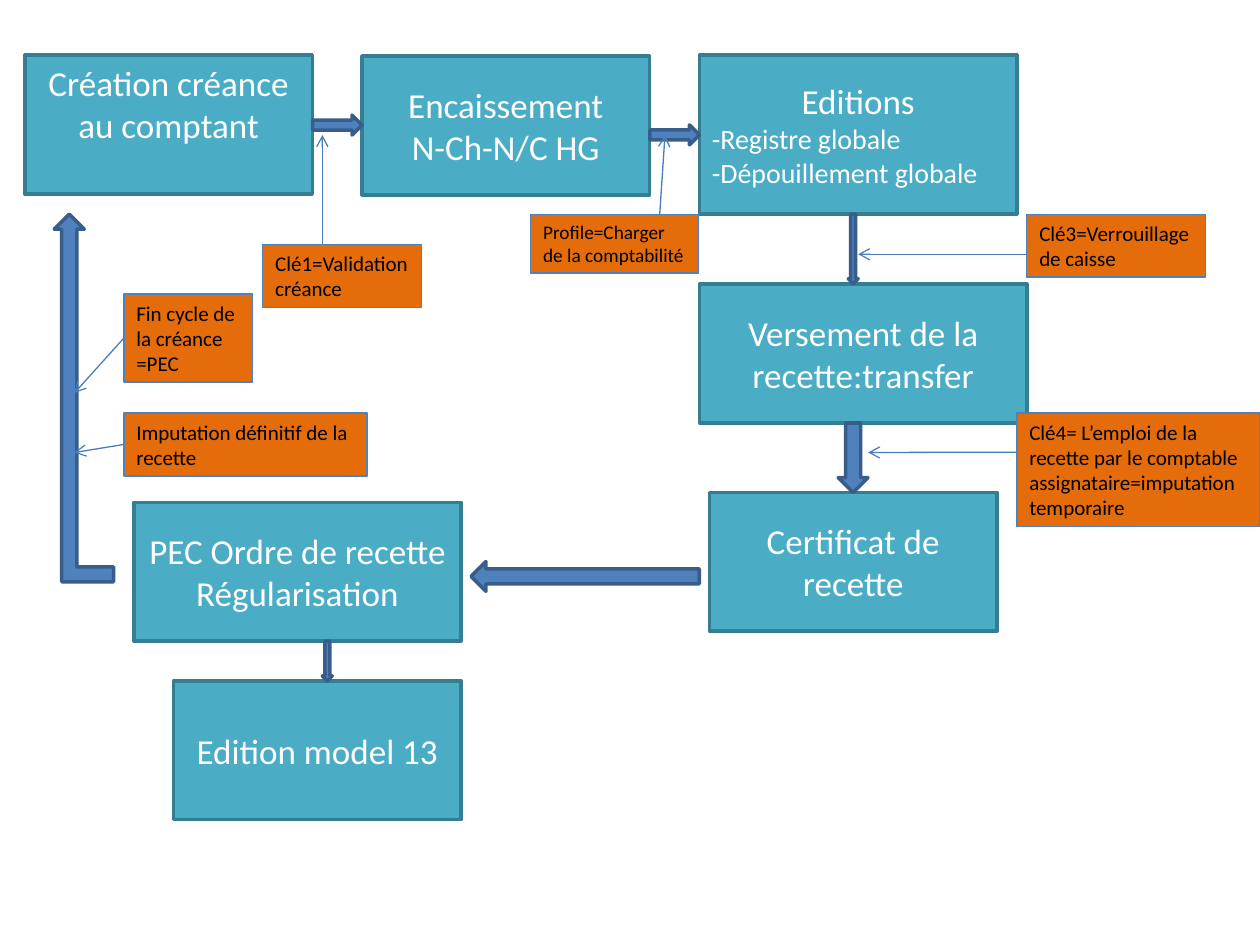
from lxml.etree import SubElement
from pptx import Presentation
from pptx.dml.color import RGBColor
from pptx.enum.shapes import MSO_CONNECTOR, MSO_SHAPE as SHAPE
from pptx.enum.text import MSO_ANCHOR as ANCHOR, PP_ALIGN as ALIGN
from pptx.oxml.ns import qn
from pptx.util import Pt

FONT = "Calibri"
WHITE = RGBColor(0xFF, 0xFF, 0xFF)
BLACK = RGBColor(0, 0, 0)
TEAL = RGBColor(0x4B, 0xAC, 0xC6)
TEAL_EDGE = RGBColor(0x35, 0x7D, 0x91)
BLUE = RGBColor(0x4F, 0x81, 0xBD)
BLUE_EDGE = RGBColor(0x38, 0x5D, 0x8A)
POINTER = RGBColor(0x4A, 0x7E, 0xBB)
ORANGE = RGBColor(0xE4, 0x6C, 0x0A)

STEP_H = 79.4
STEPS = [
    ((14.2, 31.5, 164.3, STEP_H), ["Création créance au comptant"], [], ANCHOR.TOP),
    ((206.9, 32, 164.3, STEP_H), ["Encaissement", "N-Ch-N/C HG"], [], ANCHOR.MIDDLE),
    ((399.7, 31.5, 181.4, 90.7), ["Editions"],
     ["-Registre globale", "-Dépouillement globale"], ANCHOR.MIDDLE),
    ((399.7, 162.3, 187.1, STEP_H), ["Versement de la recette:transfer"], [], ANCHOR.MIDDLE),
    ((405.4, 281.3, 164.3, STEP_H), ["Certificat de recette"], [], ANCHOR.MIDDLE),
    ((76.5, 287, 187.1, STEP_H), ["PEC Ordre de recette Régularisation"], [], ANCHOR.MIDDLE),
    ((99.2, 389, 164.3, STEP_H), ["Edition model 13"], [], ANCHOR.MIDDLE),
]

ARROWS = [
    (SHAPE.RIGHT_ARROW, (178.6, 65.8, 28.3, 11.4)),
    (SHAPE.RIGHT_ARROW, (371.4, 71.4, 28.3, 11.4)),
    (SHAPE.DOWN_ARROW, (484.7, 122.4, 5.7, 39.7)),
    (SHAPE.DOWN_ARROW, (479, 241.7, 17, 39.7)),
    (SHAPE.LEFT_ARROW, (269.2, 320.9, 130.4, 17)),
    (SHAPE.DOWN_ARROW, (184.2, 366.4, 5.7, 22.7)),
]

RETURN_ARROW = [(64.9, 324), (43.9, 324), (43.9, 131), (48.2, 131), (39.6, 122.4),
                (31, 131), (35.3, 131), (35.3, 332.5), (64.9, 332.5)]

LEFT_SIDE = 1
NOTES = [
    ((150.2, 139.7, 90.7, 35.9), 12, "Clé1=Validation créance", (184.2, 139.7), (184.2, 77.2)),
    ((303.3, 122.4, 95.8, 33.6), 11, "Profile=Charger de la comptabilité",
     (377, 122.4), (380, 77.2)),
    ((586.8, 122.4, 102, 35.9), 12, "Clé3=Verrouillage de caisse", (586.8, 145.3), (490.4, 145.3)),
    ((581.1, 236, 138.9, 65), 12,
     "Clé4= L’emploi de la recette par le comptable assignataire=imputation temporaire",
     (581.1, 258.4), (496.1, 258.6)),
    ((70.8, 236, 138.9, 36), 12, "Imputation définitif de la recette", LEFT_SIDE, (42.5, 258.6)),
    ((70.8, 168, 73.4, 50.4), 12, "Fin cycle de la créance =PEC", LEFT_SIDE, (42.5, 224.6)),
]


def style(sp, fill, edge, width):
    sp.shadow.inherit = False
    sp.fill.solid()
    sp.fill.fore_color.rgb = fill
    sp.line.color.rgb = edge
    sp.line.width = Pt(width)


def add_preset(shapes, kind, box, fill, edge, width):
    sp = shapes.add_shape(kind, *map(Pt, box))
    style(sp, fill, edge, width)
    return sp


def write(sp, lines, color, anchor):
    tf = sp.text_frame
    tf.word_wrap = True
    tf.vertical_anchor = anchor
    for i, (text, size, align) in enumerate(lines):
        p = tf.add_paragraph() if i else tf.paragraphs[0]
        p.alignment = align
        r = p.add_run()
        r.text = text
        r.font.name = FONT
        r.font.size = Pt(size)
        r.font.color.rgb = color


def add_pointer(shapes, note, start, end):
    begin = (0, 0) if start == LEFT_SIDE else start
    line = shapes.add_connector(MSO_CONNECTOR.STRAIGHT, *map(Pt, begin + end))
    if start == LEFT_SIDE:
        line.begin_connect(note, LEFT_SIDE)
    line.line.color.rgb = POINTER
    line.line.width = Pt(0.75)
    SubElement(line.line._get_or_add_ln(), qn("a:tailEnd"), type="arrow")
    SubElement(line._element.spPr, qn("a:effectLst"))


def main():
    prs = Presentation()
    prs.slide_width, prs.slide_height = Pt(720), Pt(540)
    s = prs.slides.add_slide(prs.slide_layouts[6])

    for box, heads, items, anchor in STEPS:
        sp = add_preset(s.shapes, SHAPE.RECTANGLE, box, TEAL, TEAL_EDGE, 2)
        lines = [(t, 20, ALIGN.CENTER) for t in heads] + [(t, 16, ALIGN.LEFT) for t in items]
        write(sp, lines, WHITE, anchor)

    for kind, box in ARROWS:
        add_preset(s.shapes, kind, box, BLUE, BLUE_EDGE, 2)

    points = [(Pt(x), Pt(y)) for x, y in RETURN_ARROW]
    builder = s.shapes.build_freeform(*points[0])
    builder.add_line_segments(points[1:], close=True)
    style(builder.convert_to_shape(), BLUE, BLUE_EDGE, 2)

    for box, size, text, start, end in NOTES:
        note = add_preset(s.shapes, SHAPE.RECTANGLE, box, ORANGE, BLUE, 0.75)
        write(note, [(text, size, ALIGN.LEFT)], BLACK, ANCHOR.TOP)
        add_pointer(s.shapes, note, start, end)

    prs.save("out.pptx")


if __name__ == "__main__":
    main()
